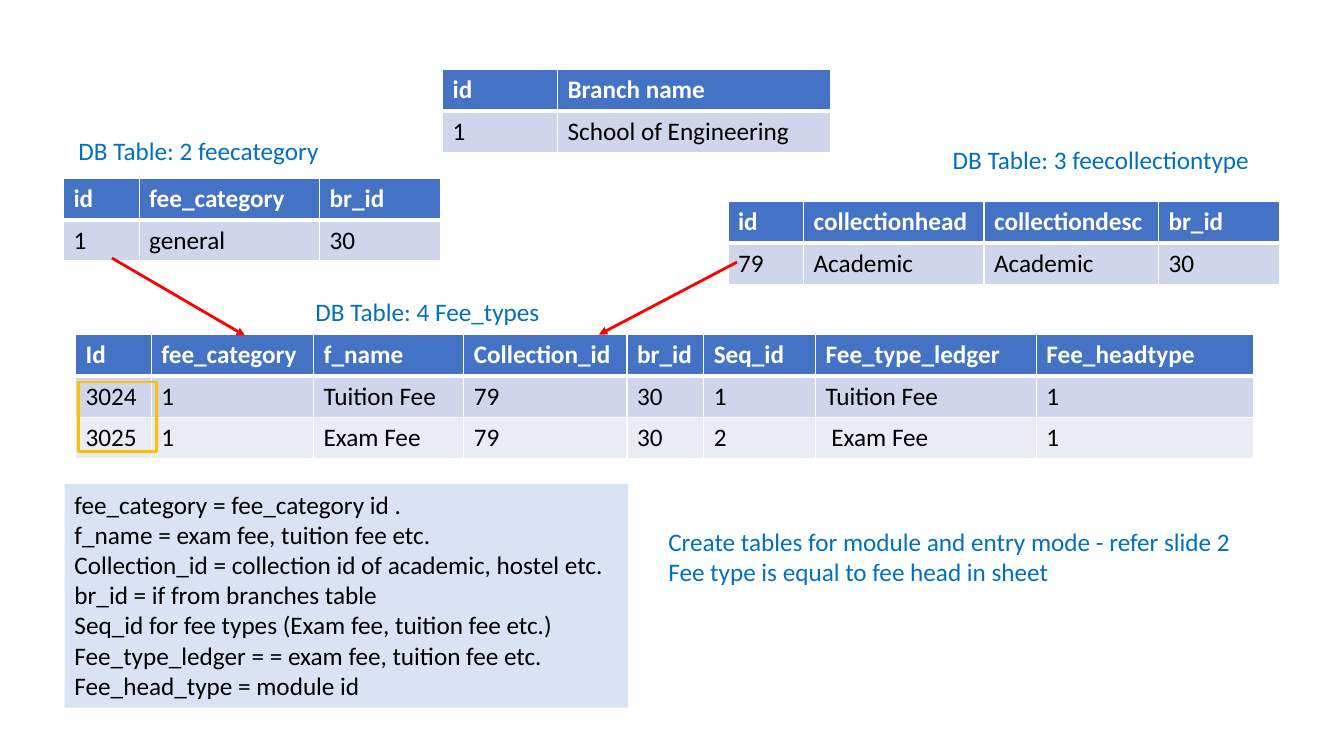
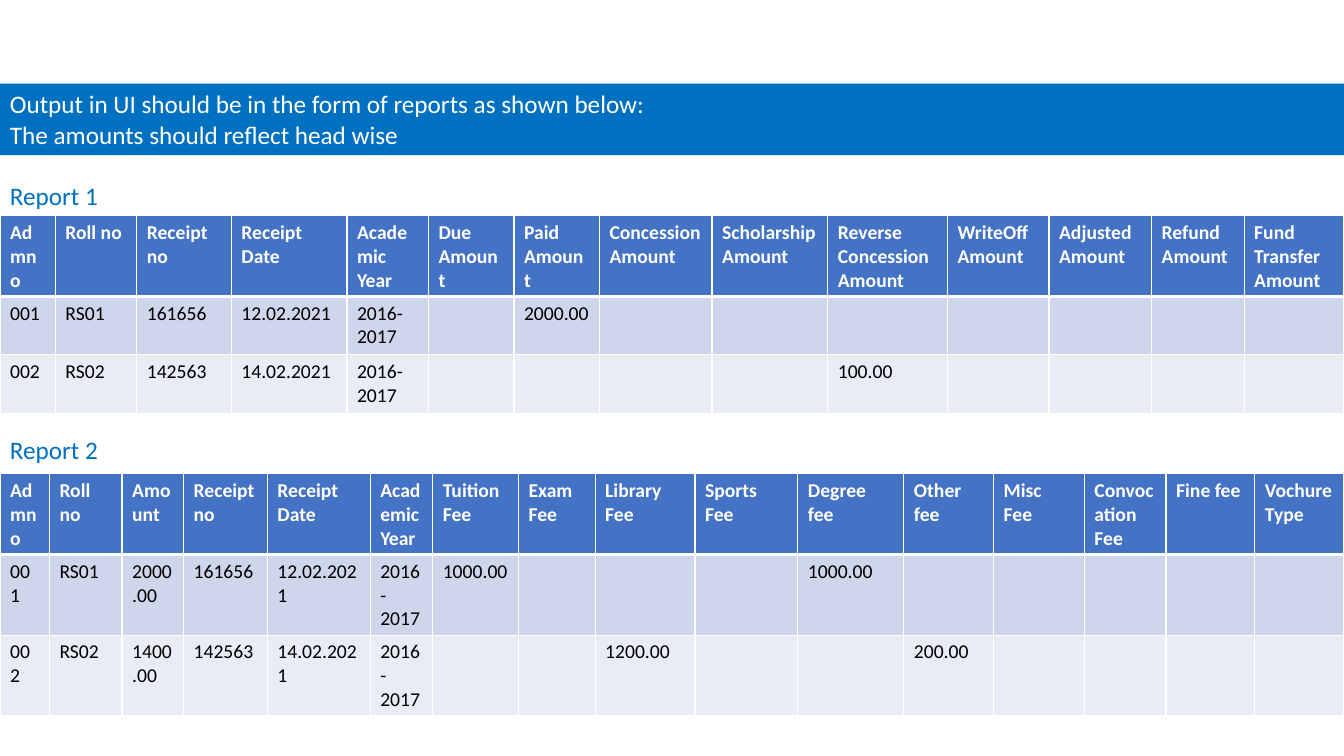
from lxml import etree
from pptx import Presentation
from pptx import util as u
from pptx.dml.color import RGBColor
from pptx.enum import shapes, text
from pptx.oxml import ns

WIDTH, HEIGHT = 13.33, 7.5
FONT = "Calibri"
BODY_SIZE, REPORT_SIZE = 18, 14
ROW_HEIGHT = 0.41

WHITE = RGBColor(0xFF, 0xFF, 0xFF)
BLACK = RGBColor(0, 0, 0)
CAPTION_BLUE = RGBColor(0x00, 0x70, 0xC0)
HEADER_BLUE = RGBColor(0x44, 0x72, 0xC4)
BANDS = (RGBColor(0xCF, 0xD5, 0xEA), RGBColor(0xE9, 0xEB, 0xF5))
NOTE_FILL = RGBColor(0xDA, 0xE3, 0xF3)
ARROW_RED = RGBColor(0xFF, 0, 0)
MARK_GOLD = RGBColor(0xFF, 0xC0, 0)

# Each table column: width, heading, then its cells from top to bottom.
FEE_TYPES = [
    (0.75, "Id", "3024", "3025"),
    (1.61, "fee_category", "1", "1"),
    (1.49, "f_name", "Tuition Fee", "Exam Fee"),
    (1.62, "Collection_id", "79", "79"),
    (0.76, "br_id", "30", "30"),
    (1.11, "Seq_id", "1", "2"),
    (2.19, "Fee_type_ledger", "Tuition Fee", " Exam Fee"),
    (2.15, "Fee_headtype", "1", "1"),
]
COLLECTION_TYPE = [
    (0.75, "id", "79"),
    (1.79, "collectionhead", "Academic"),
    (1.73, "collectiondesc", "Academic"),
    (1.2, "br_id", "30"),
]
FEE_CATEGORY = [(0.75, "id", "1"), (1.79, "fee_category", "general"), (1.2, "br_id", "30")]
BRANCHES = [(1.14, "id", "1"), (2.71, "Branch name", "School of Engineering")]

# Left, top, columns, vertical anchor
TOP, MIDDLE = text.MSO_ANCHOR.TOP, text.MSO_ANCHOR.MIDDLE
DB_TABLES = [
    (0.75, 3.32, FEE_TYPES, TOP),
    (7.22, 2, COLLECTION_TYPE, MIDDLE),
    (0.63, 1.77, FEE_CATEGORY, MIDDLE),
    (4.39, 0.69, BRANCHES, MIDDLE),
]
DB_CAPTIONS = [
    (0.68, 1.29, 2.61, "DB Table: 2 feecategory"),
    (9.35, 1.38, 3.18, "DB Table: 3 feecollectiontype"),
    (3.03, 2.89, 2.45, "DB Table: 4 Fee_types"),
]
KEY_ARROWS = [((7.31, 2.6), (5.94, 3.32)), ((1.11, 2.56), (2.43, 3.33))]

FIELD_NOTES = [
    "fee_category = fee_category id .",
    "f_name = exam fee, tuition fee etc.",
    "Collection_id = collection id of academic, hostel etc.",
    "br_id = if from branches table",
    "Seq_id for fee types (Exam fee, tuition fee etc.)",
    "Fee_type_ledger = = exam fee, tuition fee etc.",
    "Fee_head_type = module id",
]
TASKS = [
    "Create tables for module and entry mode - refer slide 2",
    "Fee type is equal to fee head in sheet",
]
BANNER = [
    "Output in UI should be in the form of reports as shown below:",
    "The amounts should reflect head wise",
]

REPORT_1 = [
    (0.55, "Admno", "001", "002"),
    (0.81, "Roll no", "RS01", "RS02"),
    (0.94, "Receipt no", "161656", "142563"),
    (1.15, "Receipt Date", "12.02.2021", "14.02.2021"),
    (0.81, "Academic Year", "2016-2017", "2016-2017"),
    (0.85, "Due Amount", "", ""),
    (0.85, "Paid Amount", "2000.00", ""),
    (1.12, "Concession Amount", "", ""),
    (1.15, "Scholarship Amount", "", ""),
    (1.19, "Reverse Concession Amount", "", "100.00"),
    (1.01, "WriteOff Amount", "", ""),
    (1.02, "Adjusted Amount", "", ""),
    (0.92, "Refund Amount", "", ""),
    (0.99, "Fund Transfer Amount", "", ""),
]
REPORT_2 = [
    (0.49, "Admno", "001", "002"),
    (0.72, "Roll no", "RS01", "RS02"),
    (0.61, "Amount", "2000.00", "1400.00"),
    (0.83, "Receipt no", "161656", "142563"),
    (1.02, "Receipt Date", "12.02.2021", "14.02.2021"),
    (0.62, "Academic Year", "2016-2017", "2016-2017"),
    (0.85, "Tuition Fee", "1000.00", ""),
    (0.76, "Exam Fee", "", ""),
    (0.99, "Library Fee", "", "1200.00"),
    (1.02, "Sports Fee", "", ""),
    (1.05, "Degree fee", "1000.00", ""),
    (0.89, "Other fee", "", "200.00"),
    (0.9, "Misc Fee", "", ""),
    (0.81, "Convocation Fee", "", ""),
    (0.88, "Fine fee", "", ""),
    (0.88, "Vochure Type", "", ""),
]
# Caption, caption top, table top, columns, row heights
REPORTS = [
    ("Report 1", 1.74, 2.14, REPORT_1, (0.8, 0.58, 0.58)),
    ("Report 2", 4.26, 4.7, REPORT_2, (0.8, 0.8, 0.8)),
]


def inches(*lengths):
    return [u.Inches(length) for length in lengths]


def write(frame, lines, size=BODY_SIZE, color=BLACK, bold=False):
    frame.text = "\n".join(lines)
    for paragraph in frame.paragraphs:
        paragraph.alignment = text.PP_ALIGN.LEFT
        for run in paragraph.runs:
            font = run.font
            font.name, font.size, font.bold = FONT, u.Pt(size), bold
            font.color.rgb = color


def add_text(slide, box, lines, fill=None, wrap=False, **style):
    label = slide.shapes.add_textbox(*inches(*box))
    frame = label.text_frame
    frame.word_wrap = wrap
    frame.auto_size = text.MSO_AUTO_SIZE.SHAPE_TO_FIT_TEXT
    if fill is not None:
        label.fill.solid()
        label.fill.fore_color.rgb = fill
    write(frame, lines, **style)


def add_borders(cell, **points):
    properties = cell._tc.get_or_add_tcPr()
    for side in "LRTB":
        line = etree.SubElement(properties, ns.qn(f"a:ln{side}"),
                                w=str(u.Pt(points.get(side, 1))))
        fill = etree.SubElement(line, ns.qn("a:solidFill"))
        etree.SubElement(fill, ns.qn("a:srgbClr"), val=str(WHITE))


def add_grid(slide, left, top, columns, row_heights=None, width=None,
             size=BODY_SIZE, anchor=TOP):
    """Draw a banded table; a given width rescales the columns to fill it."""
    widths, *rows = zip(*columns)
    total = sum(widths)
    width = width or total
    row_heights = row_heights or [ROW_HEIGHT] * len(rows)
    table = slide.shapes.add_table(
        len(rows), len(widths), *inches(left, top, width, sum(row_heights))).table
    for column, share in zip(table.columns, widths):
        column.width = u.Inches(share * width / total)
    for r, (values, height) in enumerate(zip(rows, row_heights)):
        table.rows[r].height = u.Inches(height)
        header = r == 0
        for c, value in enumerate(values):
            cell = table.cell(r, c)
            add_borders(cell, T=3 if r == 1 else 1, B=3 if header else 1)
            cell.fill.solid()
            cell.fill.fore_color.rgb = HEADER_BLUE if header else BANDS[(r - 1) % 2]
            cell.vertical_anchor = anchor
            write(cell.text_frame, [value], size=size, bold=header,
                  color=WHITE if header else BLACK)


def add_arrow(slide, start, end):
    arrow = slide.shapes.add_connector(shapes.MSO_CONNECTOR.STRAIGHT, *inches(*start, *end))
    arrow.line.color.rgb = ARROW_RED
    arrow.line.width = u.Pt(2)
    etree.SubElement(arrow.line._get_or_add_ln(), ns.qn("a:tailEnd"), type="triangle")
    etree.SubElement(arrow._element.spPr, ns.qn("a:effectLst"))


def add_mark(slide, box):
    mark = slide.shapes.add_shape(shapes.MSO_SHAPE.RECTANGLE, *inches(*box))
    mark.shadow.inherit = False
    mark.fill.background()
    mark.line.color.rgb = MARK_GOLD
    mark.line.width = u.Pt(2)


def build_schema(slide):
    for left, top, columns, anchor in DB_TABLES:
        add_grid(slide, left, top, columns, anchor=anchor)
    for left, top, width, caption in DB_CAPTIONS:
        add_text(slide, (left, top, width, 0.4), [caption], color=CAPTION_BLUE)
    add_text(slide, (0.64, 4.8, 5.59, 2.22), FIELD_NOTES, fill=NOTE_FILL)
    add_text(slide, (6.53, 5.17, 5.89, 0.71), TASKS, wrap=True, color=CAPTION_BLUE)
    for start, end in KEY_ARROWS:
        add_arrow(slide, start, end)
    add_mark(slide, (0.78, 3.79, 0.77, 0.69))


def build_reports(slide):
    add_text(slide, (0, 0.83, WIDTH, 0.71), BANNER, fill=CAPTION_BLUE, wrap=True, color=WHITE)
    for caption, caption_top, top, columns, row_heights in REPORTS:
        add_text(slide, (0, caption_top, 1.08, 0.4), [caption], color=CAPTION_BLUE)
        add_grid(slide, 0, top, columns, row_heights, width=WIDTH, size=REPORT_SIZE)


def main():
    deck = Presentation()
    deck.slide_width, deck.slide_height = inches(WIDTH, HEIGHT)
    blank = deck.slide_layouts[6]
    for build in (build_schema, build_reports):
        build(deck.slides.add_slide(blank))
    deck.save("out.pptx")


if __name__ == "__main__":
    main()
